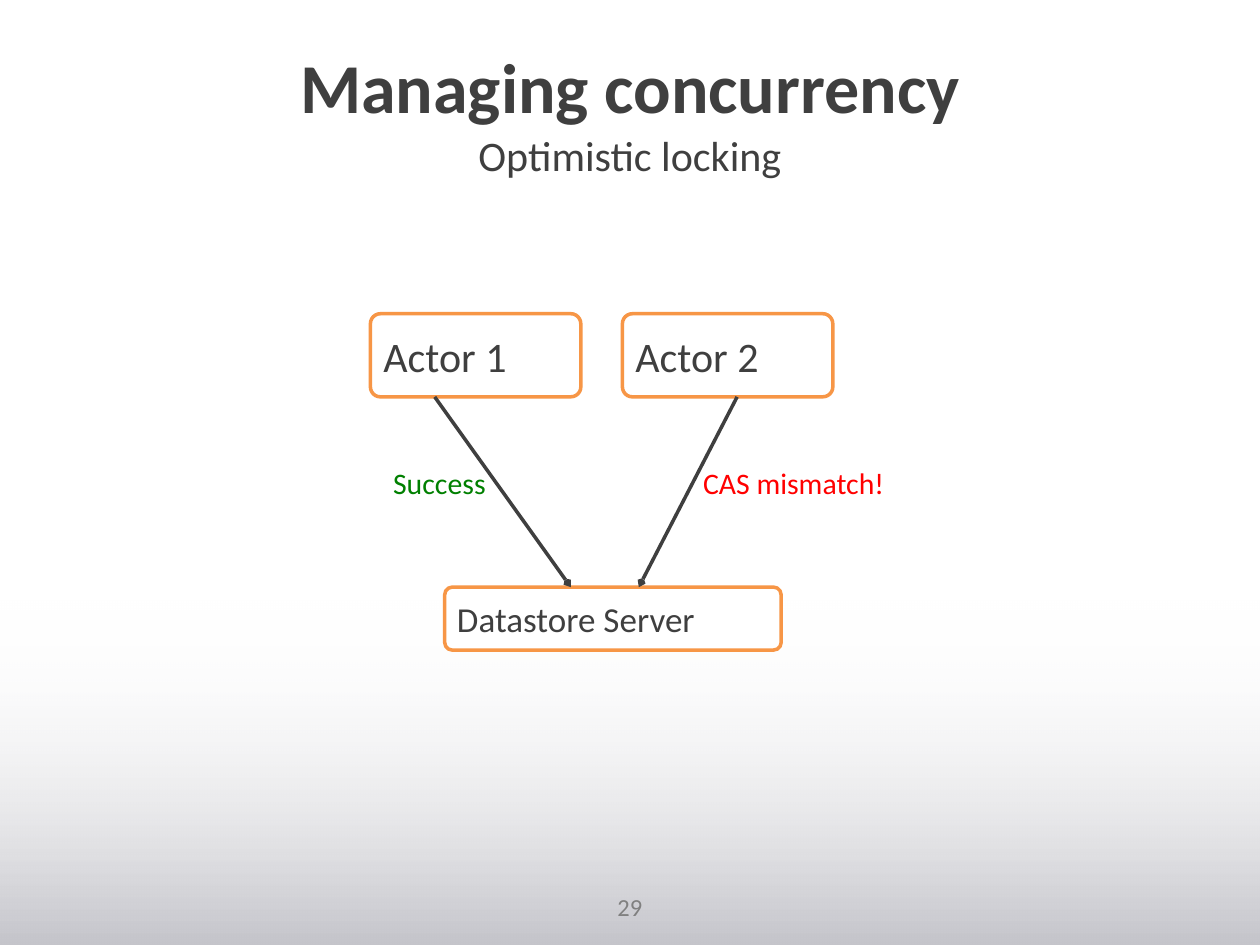
from lxml import etree
from pptx import Presentation
from pptx.dml.color import RGBColor
from pptx.enum import shapes, text
from pptx.oxml.ns import qn
from pptx.util import Inches, Pt

FONT = "Calibri"
DARK, ORANGE, WHITE = "3F3F3F", "F79646", "FFFFFF"


def color(value):
    """Turn a hex string into a colour."""
    return RGBColor.from_string(value)


def write(shape, words, size, ink=DARK, align=text.PP_ALIGN.LEFT, bold=False,
          inset=0, wrap=True, anchor=text.MSO_ANCHOR.TOP):
    """Set and format the single paragraph of a shape."""
    frame = shape.text_frame
    frame.text = words
    frame.word_wrap = wrap
    frame.auto_size = text.MSO_AUTO_SIZE.NONE
    frame.vertical_anchor = anchor
    frame.margin_left = frame.margin_right = Inches(inset)
    frame.margin_top = frame.margin_bottom = Inches(inset)
    paragraph = frame.paragraphs[0]
    paragraph.alignment = align
    font = paragraph.runs[0].font
    font.name, font.size, font.bold = FONT, Pt(size), bold
    font.color.rgb = color(ink)
    return paragraph


def add_label(slide, box, words, size, **style):
    """Add a text box with one formatted line."""
    label = slide.shapes.add_textbox(*map(Inches, box))
    return write(label, words, size, **style)


def add_backdrop(slide, box):
    """Add the grey fade that dissolves upwards."""
    fade = slide.shapes.add_shape(shapes.MSO_SHAPE.RECTANGLE, *map(Inches, box))
    fade.shadow.inherit = False
    fade.line.fill.background()
    fade.fill.gradient()
    fade.fill.gradient_angle = 90
    bottom, top = fade.fill.gradient_stops
    bottom.position, top.position = 0, 1
    bottom.color.rgb, top.color.rgb = color("C5C5CB"), color(WHITE)
    top_color = list(fade._element.spPr.iter(qn("a:srgbClr")))[-1]
    etree.SubElement(top_color, qn("a:alpha"), val="0")


def add_heading(slide, box, heading, subtitle):
    """Place the title with the subtitle under it."""
    left, top, width, height = box
    title = slide.shapes.title
    title.left, title.top, title.width, title.height = map(Inches, box)
    paragraph = write(title, heading, 40, align=text.PP_ALIGN.CENTER, bold=True)
    paragraph.line_spacing = 0.9
    add_label(slide, (left, top + 0.61, width, 0.6), subtitle, 24,
              align=text.PP_ALIGN.CENTER)


def add_node(slide, box, words, size):
    """Add an outlined rounded box with its name."""
    node = slide.shapes.add_shape(shapes.MSO_SHAPE.ROUNDED_RECTANGLE,
                                  *map(Inches, box))
    node.adjustments[0] = 0.12
    node.shadow.inherit = False
    node.fill.solid()
    node.fill.fore_color.rgb = color(WHITE)
    node.line.color.rgb = color(ORANGE)
    node.line.width = Pt(2)
    write(node, words, size, inset=0.08, anchor=text.MSO_ANCHOR.MIDDLE)


def add_arrow(slide, start, end):
    """Draw an arrow between two points."""
    arrow = slide.shapes.add_connector(shapes.MSO_CONNECTOR.STRAIGHT,
                                       *map(Inches, (*start, *end)))
    arrow.line.color.rgb = color(DARK)
    arrow.line.width = Pt(2)
    etree.SubElement(arrow.line._get_or_add_ln(), qn("a:tailEnd"),
                     type="arrow", w="sm", len="sm")
    etree.SubElement(arrow._element.spPr, qn("a:effectLst"))


def add_locking_diagram(slide, box):
    """Draw two actors that write to one server."""
    left, top, width, height = box
    actor_width, actor_height, server_height = 1.67, 0.66, 0.5
    for index in range(2):
        add_node(slide, (left + 2 * index, top, actor_width, actor_height),
                 f"Actor {index + 1}", 24)
    server_top = top + height - server_height
    add_node(slide, (left + 0.59, server_top, 2.67, server_height),
             "Datastore Server", 20)
    outcomes = [
        (0.51, 1.59, "Success", "008000", 0.15, 0.8),
        (2.91, 2.13, "CAS mismatch!", "FF0000", 2.61, 1.5),
    ]
    for start, end, outcome, ink, label_left, label_width in outcomes:
        add_arrow(slide, (left + start, top + actor_height),
                  (left + end, server_top))
        add_label(slide, (left + label_left, top + 1.17, label_width, 0.35),
                  outcome, 17, ink=ink, inset=0.03, wrap=False)


def main():
    """Build and save the slide."""
    presentation = Presentation()
    presentation.slide_width, presentation.slide_height = Inches(10), Inches(7.5)
    slide = presentation.slides.add_slide(presentation.slide_layouts[5])
    slide.background.fill.solid()
    slide.background.fill.fore_color.rgb = color(WHITE)
    add_backdrop(slide, (0, 4.75, 10, 2.75))
    add_heading(slide, (0.5, 0.42, 9, 1.13),
                "Managing concurrency", "Optimistic locking")
    add_locking_diagram(slide, (2.94, 2.49, 3.67, 2.67))
    add_label(slide, (4.55, 7.03, 0.9, 0.34), "29", 14, ink="808080",
              align=text.PP_ALIGN.CENTER, inset=0.05)
    presentation.save("out.pptx")


if __name__ == "__main__":
    main()
